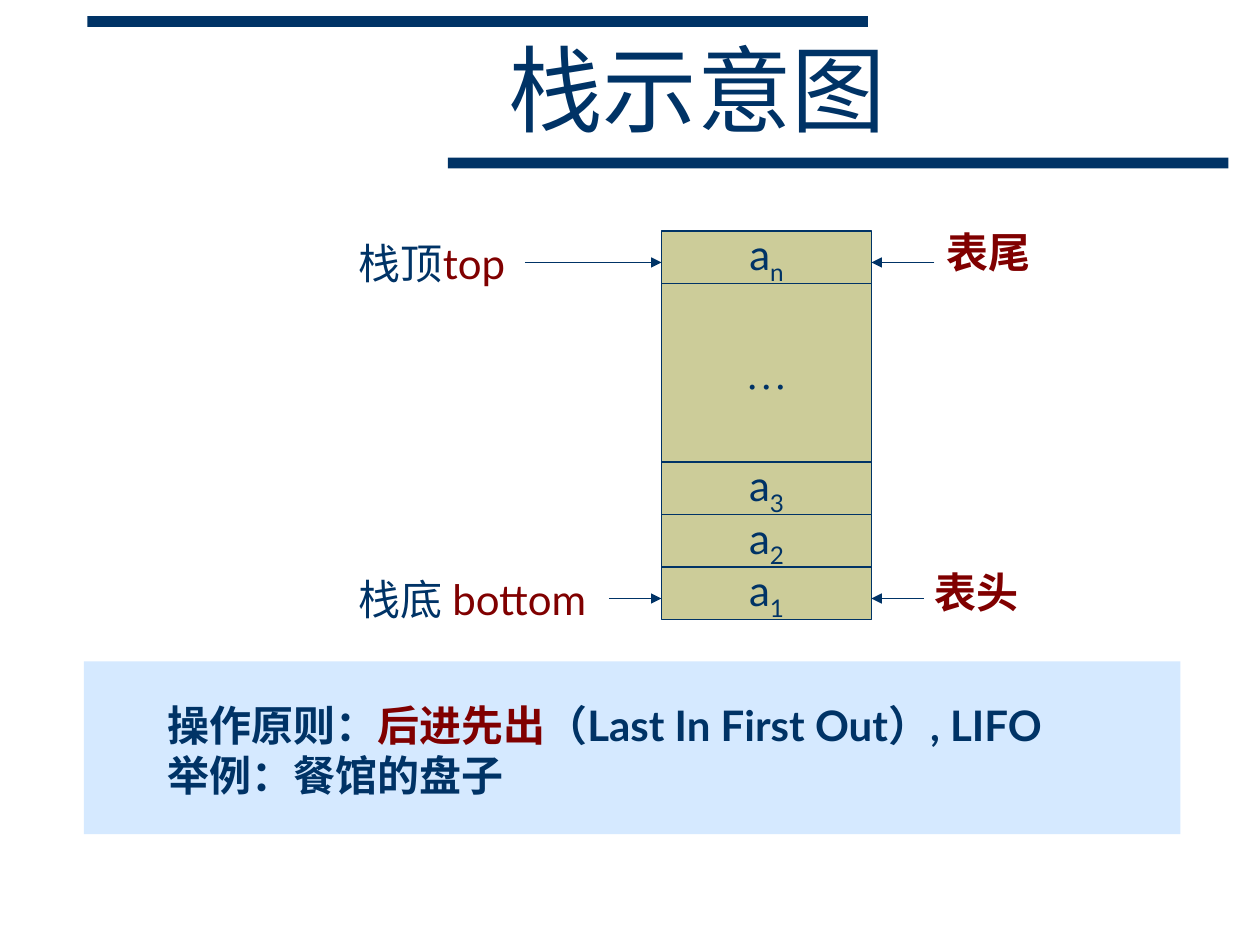
from typing import NamedTuple

from lxml import etree
from pptx import Presentation
from pptx import util as u
from pptx.dml.color import RGBColor
from pptx.enum import shapes, text
from pptx.oxml import ns

NAVY, RED, KHAKI, PALE = "003366", "800000", "CCCC99", "D5E9FF"
CELL_LEFT, CELL_WIDTH, STACK_TOP = 378, 120, 132
CELL_RIGHT = CELL_LEFT + CELL_WIDTH
TOP_Y, BOTTOM_Y = 150, 342


class Run(NamedTuple):
    text: str
    color: str = NAVY
    subscript: bool = False


class Cell(NamedTuple):
    runs: list[Run]
    height: float = 30
    font: str = "Lato"


class Label(NamedTuple):
    left: float
    top: float
    width: float
    runs: list[Run]
    bold: bool = False
    wrap: bool = True


class Arrow(NamedTuple):
    start: float
    end: float
    y: float


def rgb(color: str) -> RGBColor:
    return RGBColor.from_string(color)


def write(s, lines: list[list[Run]], *, size=24, font="Lato", bold=False, wrap=True,
          align=text.PP_ALIGN.LEFT, anchor=text.MSO_ANCHOR.TOP, spacing=None) -> None:
    """Fill a shape with one paragraph per list of runs."""
    tf = s.text_frame
    tf.word_wrap = wrap
    tf.vertical_anchor = anchor
    for i, runs in enumerate(lines):
        p = tf.add_paragraph() if i else tf.paragraphs[0]
        p.alignment = align
        p.line_spacing = spacing
        for run in runs:
            r = p.add_run()
            r.text = run.text
            r.font.size = u.Pt(size)
            r.font.name = font
            r.font.bold = bold
            r.font.color.rgb = rgb(run.color)
            if run.subscript:
                r.font._element.set("baseline", "-25000")


def add_box(slide, left: float, top: float, width: float, height: float,
            fill: str, line: str | None = None):
    s = slide.shapes.add_shape(shapes.MSO_SHAPE.RECTANGLE, u.Pt(left), u.Pt(top),
                               u.Pt(width), u.Pt(height))
    s.shadow.inherit = False
    s.fill.solid()
    s.fill.fore_color.rgb = rgb(fill)
    if line:
        s.line.color.rgb = rgb(line)
        s.line.width = u.Pt(0.75)
    else:
        s.line.fill.background()
    return s


def add_text(slide, left: float, top: float, width: float, height: float,
             lines: list[list[Run]], **fmt) -> None:
    s = slide.shapes.add_textbox(u.Pt(left), u.Pt(top), u.Pt(width), u.Pt(height))
    write(s, lines, **fmt)


def add_arrow(slide, arrow: Arrow) -> None:
    y = u.Pt(arrow.y)
    s = slide.shapes.add_connector(shapes.MSO_CONNECTOR.STRAIGHT,
                                   u.Pt(arrow.start), y, u.Pt(arrow.end), y)
    s.line.color.rgb = rgb(NAVY)
    s.line.width = u.Pt(0.75)
    etree.SubElement(s.line._get_or_add_ln(), ns.qn("a:tailEnd"), type="triangle")
    etree.SubElement(s._element.spPr, ns.qn("a:effectLst"))


def element(index: str) -> list[Run]:
    return [Run("a"), Run(index, subscript=True)]


CELLS = [
    Cell(element("n")),
    Cell([Run("…")], 102, "Times New Roman"),
    Cell(element("3")),
    Cell(element("2")),
    Cell(element("1")),
]
LABELS = [
    Label(198, 132, 114, [Run("栈顶"), Run("top", RED)]),
    Label(198, 324, 156, [Run("栈底 "), Run("bottom", RED)]),
    Label(534, 126, 63, [Run("表尾", RED)], bold=True, wrap=False),
    Label(527, 320, 63, [Run("表头", RED)], bold=True, wrap=False),
]
ARROWS = [
    Arrow(300, CELL_LEFT, TOP_Y),
    Arrow(348, CELL_LEFT, BOTTOM_Y),
    Arrow(534, CELL_RIGHT, TOP_Y),
    Arrow(528, CELL_RIGHT, BOTTOM_Y),
]
PRINCIPLE = [
    [Run("操作原则："), Run("后进先出", RED), Run("（Last In First Out）, LIFO")],
    [Run("举例：餐馆的盘子")],
]


def main() -> None:
    prs = Presentation()
    prs.slide_width, prs.slide_height = u.Pt(720), u.Pt(540)
    slide = prs.slides.add_slide(prs.slide_layouts[6])

    for left, top in ((50, 9.2), (256, 90)):
        add_box(slide, left, top, 446, 6.2, NAVY)
    add_text(slide, 108, 19, 581, 72, [[Run("栈示意图")]], size=54, font="Arial",
             align=text.PP_ALIGN.CENTER, anchor=text.MSO_ANCHOR.MIDDLE, spacing=0.85)

    top = STACK_TOP
    for cell in CELLS:
        s = add_box(slide, CELL_LEFT, top, CELL_WIDTH, cell.height, KHAKI, NAVY)
        write(s, [cell.runs], font=cell.font, wrap=False,
              align=text.PP_ALIGN.CENTER, anchor=text.MSO_ANCHOR.MIDDLE)
        top += cell.height

    for label in LABELS:
        add_text(slide, label.left, label.top, label.width, 36, [label.runs],
                 bold=label.bold, wrap=label.wrap)
    for arrow in ARROWS:
        add_arrow(slide, arrow)

    add_box(slide, 48, 378, 626.5, 98.7, PALE)
    add_text(slide, 88.5, 396, 577.5, 65, PRINCIPLE, bold=True)
    prs.save("out.pptx")


if __name__ == "__main__":
    main()
